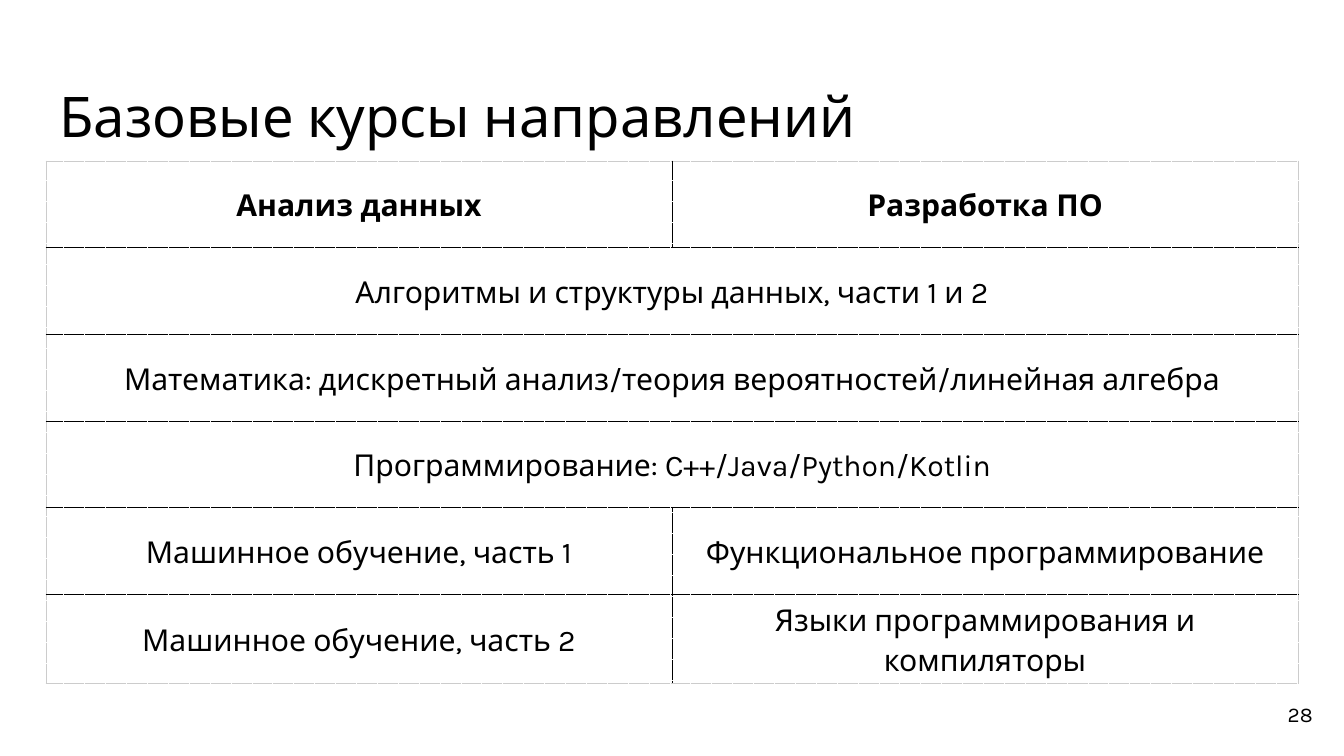
from typing import NamedTuple

from lxml import etree
from pptx import Presentation
from pptx.dml.color import RGBColor
from pptx.enum.text import MSO_ANCHOR, PP_ALIGN
from pptx.oxml.ns import qn
from pptx.util import Inches, Pt

TOP, MIDDLE = MSO_ANCHOR.TOP, MSO_ANCHOR.MIDDLE
LEFT, CENTER, RIGHT = PP_ALIGN.LEFT, PP_ALIGN.CENTER, PP_ALIGN.RIGHT

FONT = "Karla"
BLACK, GREY, WHITE = "000000", "CCCCCC", "FFFFFF"
SLIDE_WIDTH, SLIDE_HEIGHT = 26.66, 15
MARGIN = 0.91
CONTENT_WIDTH = SLIDE_WIDTH - 2 * MARGIN
TABLE_TOP, ROW_HEIGHT = 3.19, 1.72
BOX_INSET = 0.27

# A row with one text spans both columns.
COURSE_ROWS = [
    ("Анализ данных", "Разработка ПО"),
    ("Алгоритмы и структуры данных, части 1 и 2",),
    ("Математика: дискретный анализ/теория вероятностей/линейная алгебра",),
    ("Программирование: C++/Java/Python/Kotlin",),
    ("Машинное обучение, часть 1", "Функциональное программирование"),
    ("Машинное обучение, часть 2", "Языки программирования и компиляторы"),
]


class TextBox(NamedTuple):
    text: str
    left: float
    top: float
    width: float
    height: float
    size: float
    align: PP_ALIGN
    anchor: MSO_ANCHOR
    line_spacing: Pt | float


TEXT_BOXES = [
    TextBox("Базовые курсы направлений", MARGIN, 1.3, CONTENT_WIDTH, 1.67,
            80, LEFT, TOP, Pt(100)),
    TextBox("28", 24.71, 13.6, 1.6, 1.15, 30, RIGHT, MIDDLE, 1.0),
]


def color(value: str) -> RGBColor:
    return RGBColor.from_string(value)


def write_text(text_frame, text: str, size: float, align: PP_ALIGN,
               line_spacing: Pt | float, bold: bool = False) -> None:
    text_frame.text = text
    paragraph = text_frame.paragraphs[0]
    paragraph.alignment = align
    paragraph.line_spacing = line_spacing
    font = paragraph.runs[0].font
    font.name, font.size, font.bold = FONT, Pt(size), bold
    font.color.rgb = color(BLACK)


def add_text_box(slide, box: TextBox) -> None:
    shape = slide.shapes.add_textbox(
        Inches(box.left), Inches(box.top), Inches(box.width), Inches(box.height))
    text_frame = shape.text_frame
    text_frame.word_wrap = True
    text_frame.vertical_anchor = box.anchor
    text_frame.margin_left = text_frame.margin_right = Inches(BOX_INSET)
    text_frame.margin_top = text_frame.margin_bottom = Inches(BOX_INSET)
    write_text(text_frame, box.text, box.size, box.align, box.line_spacing)


def add_border(cell, side: str, line_color: str) -> None:
    properties = cell._tc.get_or_add_tcPr()
    line = etree.SubElement(properties, qn(f"a:ln{side}"), w=str(Pt(0.75)))
    fill = etree.SubElement(line, qn("a:solidFill"))
    etree.SubElement(fill, qn("a:srgbClr"), val=line_color)
    etree.SubElement(line, qn("a:prstDash"), val="dot")


def style_cell(cell, row: int, column: int, merged: bool) -> None:
    """Grey lines on the outside of the table, black lines between cells."""
    cell.vertical_anchor = MIDDLE
    cell.margin_left = cell.margin_right = Inches(0.08)
    cell.margin_top = cell.margin_bottom = Inches(0.06)
    outer_sides = {
        "L": merged or column == 0,
        "R": merged or column == 1,
        "T": row == 0,
        "B": row == len(COURSE_ROWS) - 1,
    }
    for side, is_outer in outer_sides.items():
        add_border(cell, side, GREY if is_outer else BLACK)
    cell.fill.solid()
    cell.fill.fore_color.rgb = color(WHITE)


def add_course_table(slide) -> None:
    table = slide.shapes.add_table(
        len(COURSE_ROWS), 2, Inches(MARGIN), Inches(TABLE_TOP),
        Inches(CONTENT_WIDTH), Inches(ROW_HEIGHT * len(COURSE_ROWS))).table
    table.first_row = table.horz_banding = False
    for row, texts in enumerate(COURSE_ROWS):
        merged = len(texts) == 1
        for column in range(2):
            style_cell(table.cell(row, column), row, column, merged)
        if merged:
            table.cell(row, 0).merge(table.cell(row, 1))
        for column, text in enumerate(texts):
            write_text(table.cell(row, column).text_frame, text, 43, CENTER,
                       1.15, bold=row == 0)


def main() -> None:
    presentation = Presentation()
    presentation.slide_width = Inches(SLIDE_WIDTH)
    presentation.slide_height = Inches(SLIDE_HEIGHT)
    slide = presentation.slides.add_slide(presentation.slide_layouts[6])
    for box in TEXT_BOXES:
        add_text_box(slide, box)
    add_course_table(slide)
    presentation.save("out.pptx")


if __name__ == "__main__":
    main()
